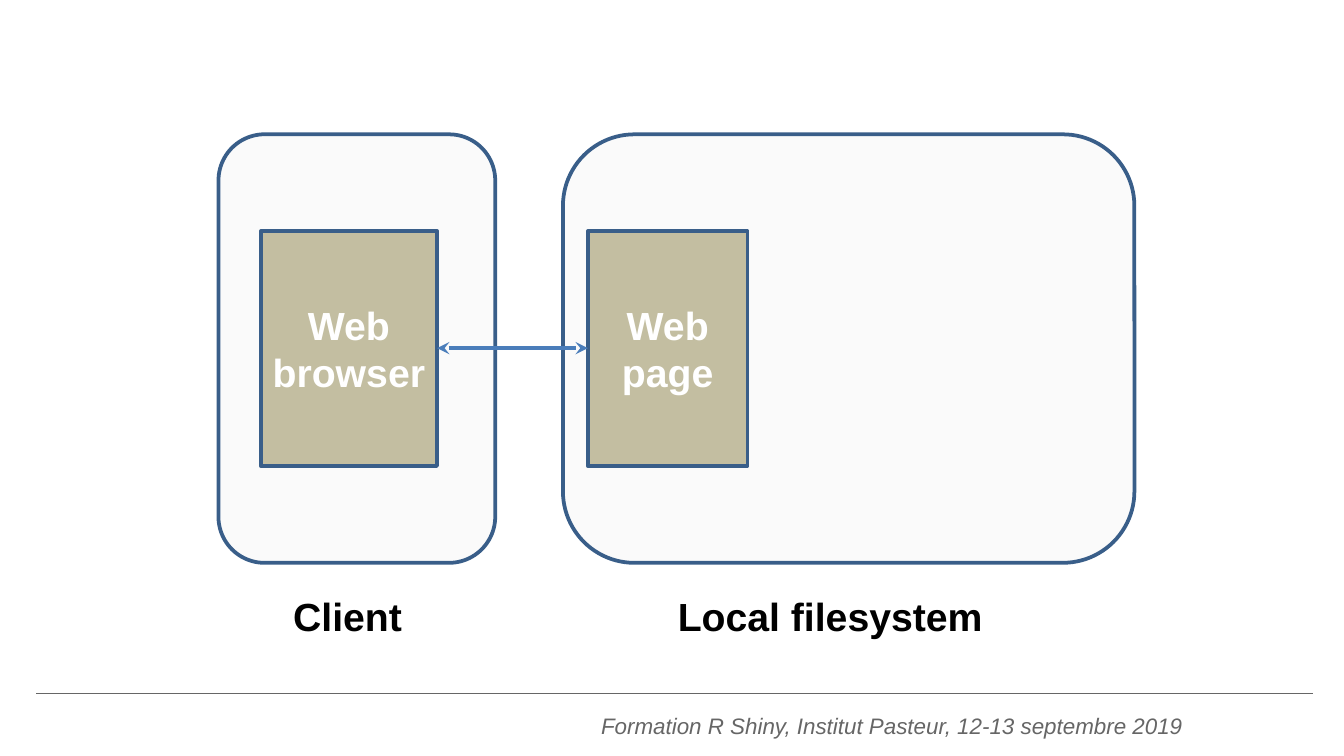
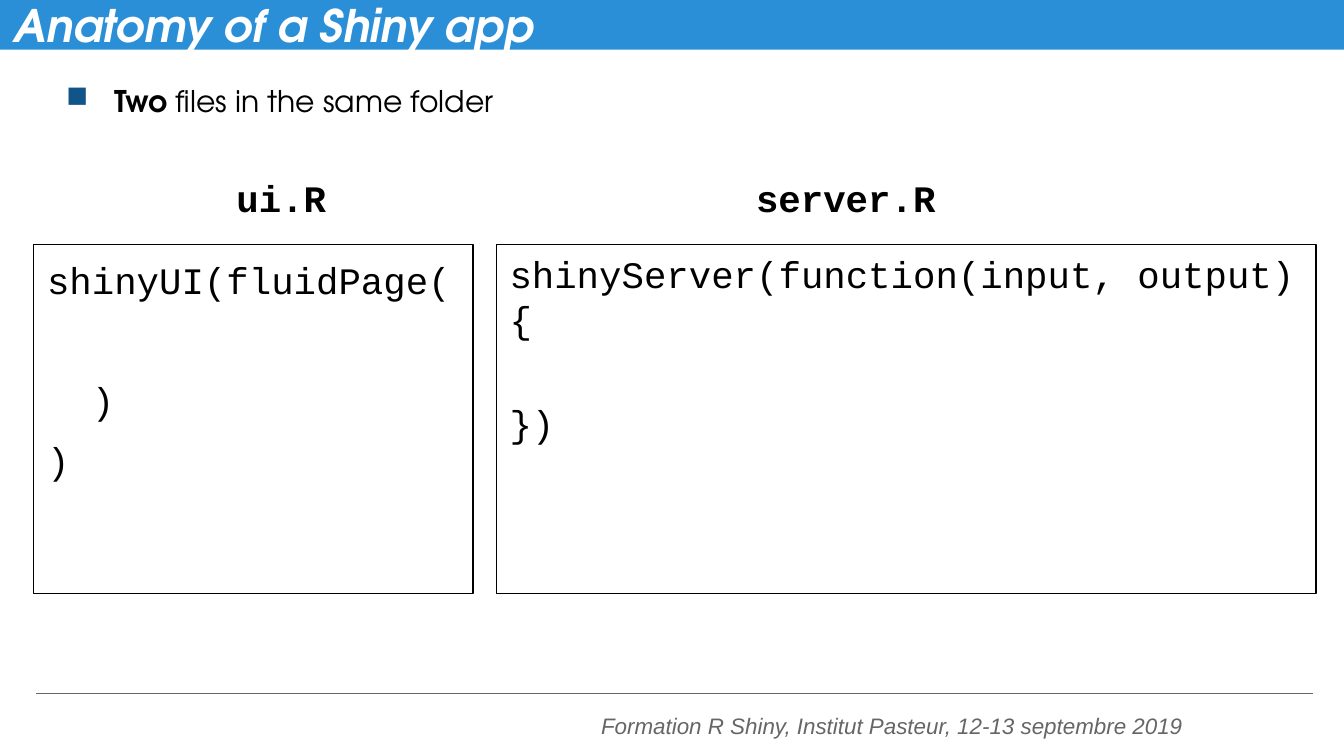
from lxml import etree
from pptx import Presentation
from pptx.dml.color import RGBColor
from pptx.enum.shapes import MSO_CONNECTOR, MSO_SHAPE
from pptx.enum.text import MSO_ANCHOR, PP_ALIGN
from pptx.oxml.ns import qn
from pptx.util import Cm, Pt

BLUE, OUTLINE, ARROW, BULLET = "238BD7", "395E89", "4A7DBA", "115588"
PANEL, OLIVE, GREY, BLACK, WHITE = "F2F2F2", "938953", "666666", "000000", "FFFFFF"
SANS, MONO, DISPLAY = "Arial", "Courier New", "TeX Gyre Adventor"


def paint(color_format, color, opacity=None):
    """Set a colour from a hex string, with opacity in percent."""
    color_format.rgb = RGBColor.from_string(color)
    if opacity is not None:
        for node in color_format._xFill.iter(qn("a:srgbClr")):
            etree.SubElement(node, qn("a:alpha"), val=str(opacity * 1000))


def write(shape, text, font, size, color, bold=False, italic=False, align=PP_ALIGN.LEFT,
          anchor=MSO_ANCHOR.TOP, insets=(0.25, 0.25), wrap=True, gap=0):
    """Fill a shape with text; insets are horizontal and vertical, gap is between paragraphs."""
    frame = shape.text_frame
    frame.text = text
    frame.word_wrap = wrap
    frame.vertical_anchor = anchor
    frame.margin_left = frame.margin_right = Cm(insets[0])
    frame.margin_top = frame.margin_bottom = Cm(insets[1])
    for index, para in enumerate(frame.paragraphs):
        para.alignment = align
        para.space_before = Pt(gap if index else 0)
        for span in para.runs:
            span.font.name, span.font.size = font, Pt(size)
            span.font.bold, span.font.italic = bold, italic
            paint(span.font.color, color)


deck = Presentation()
deck.slide_width, deck.slide_height = Cm(25.4), Cm(14.29)
diagram_page = deck.slides.add_slide(deck.slide_layouts[6])
anatomy_page = deck.slides.add_slide(deck.slide_layouts[5])

# Footer and rule on every page
for page in deck.slides:
    rule = page.shapes.add_connector(MSO_CONNECTOR.STRAIGHT, Cm(0.69), Cm(13.11), Cm(24.82), Cm(13.11))
    rule.line.width = Pt(0.75)
    paint(rule.line.color, GREY)
    etree.SubElement(rule._element.spPr, qn("a:effectLst"))
    footer = page.shapes.add_textbox(Cm(11.11), Cm(13.37), Cm(11.96), Cm(0.71))
    write(footer, "Formation R Shiny, Institut Pasteur, 12-13 septembre 2019", SANS, 12, GREY,
          italic=True, anchor=MSO_ANCHOR.MIDDLE)

# Client and local filesystem
shapes = diagram_page.shapes
for caption, caption_left, caption_width, panel_left, panel_width, label, box_left, box_width in (
        ("Client", 5.36, 2.46, 4.13, 5.23, "Web browser", 4.93, 3.33),
        ("Local filesystem", 12.63, 6.22, 10.64, 10.8, "Web page", 11.11, 3.02)):
    panel = shapes.add_shape(MSO_SHAPE.ROUNDED_RECTANGLE, Cm(panel_left), Cm(2.54),
                             Cm(panel_width), Cm(8.1))
    box = shapes.add_shape(MSO_SHAPE.RECTANGLE, Cm(box_left), Cm(4.37), Cm(box_width), Cm(4.44))
    for shape, color, opacity in ((panel, PANEL, 37), (box, OLIVE, 53)):
        shape.shadow.inherit = False
        shape.fill.solid()
        paint(shape.fill.fore_color, color, opacity)
        shape.line.width = Pt(2)
        paint(shape.line.color, OUTLINE)
    write(box, label, SANS, 21, WHITE, bold=True, align=PP_ALIGN.CENTER,
          anchor=MSO_ANCHOR.MIDDLE, insets=(0.18, 0.1))
    caption_box = shapes.add_textbox(Cm(caption_left), Cm(11.1), Cm(caption_width), Cm(1.09))
    write(caption_box, caption, SANS, 21, BLACK, bold=True, insets=(0.18, 0.1))

arrow = shapes.add_connector(MSO_CONNECTOR.STRAIGHT, Cm(8.26), Cm(6.58), Cm(11.11), Cm(6.58))
arrow.line.width = Pt(2.25)
paint(arrow.line.color, ARROW)
for end in ("a:headEnd", "a:tailEnd"):
    etree.SubElement(arrow.line._get_or_add_ln(), qn(end), type="stealth")
etree.SubElement(arrow._element.spPr, qn("a:effectLst"))

# Anatomy of an app
shapes = anatomy_page.shapes
title = shapes.title
title.left, title.top, title.width, title.height = Cm(0), Cm(-0.03), Cm(25.4), Cm(0.97)
title.fill.solid()
paint(title.fill.fore_color, BLUE, 96)
write(title, "Anatomy of a Shiny app", DISPLAY, 24, WHITE, bold=True, italic=True,
      anchor=MSO_ANCHOR.MIDDLE)

body = shapes.add_textbox(Cm(0.64), Cm(1.27), Cm(24.23), Cm(11.58))
write(body, "Two", DISPLAY, 16, BLACK, bold=True, insets=(0.25, 0.29))
para = body.text_frame.paragraphs[0]
properties = para._p.get_or_add_pPr()
properties.set("marL", str(Cm(1.27)))
properties.set("indent", str(Cm(-0.91)))
bullet_color = etree.SubElement(properties, qn("a:buClr"))
etree.SubElement(bullet_color, qn("a:srgbClr"), val=BULLET)
etree.SubElement(properties, qn("a:buChar"), char="■")
span = para.add_run()
span.text = " files in the same folder"
span.font.name, span.font.size, span.font.bold = DISPLAY, Pt(16), False
paint(span.font.color, BLACK)

for name, name_left, name_width, code, code_left, code_width, top_inset, gap in (
        ("ui.R", 4.22, 2.24, "shinyUI(fluidPage(\n  \n  )\n)", 0.64, 8.3, 0.25, 8),
        ("server.R", 14.04, 3.94, "shinyServer(function(input, output) {\n  \n})",
         9.38, 15.49, 0.13, 4)):
    listing = shapes.add_shape(MSO_SHAPE.RECTANGLE, Cm(code_left), Cm(4.62), Cm(code_width), Cm(6.6))
    listing.shadow.inherit = False
    listing.fill.background()
    listing.line.width = Pt(0.75)
    paint(listing.line.color, BLACK)
    write(listing, code, MONO, 20, BLACK, insets=(0.25, top_inset), gap=gap)
    heading = shapes.add_textbox(Cm(name_left), Cm(3.18), Cm(name_width), Cm(1.12))
    write(heading, name, MONO, 20, BLACK, bold=True, insets=(0.25, 0.13), wrap=False)

deck.save("out.pptx")
